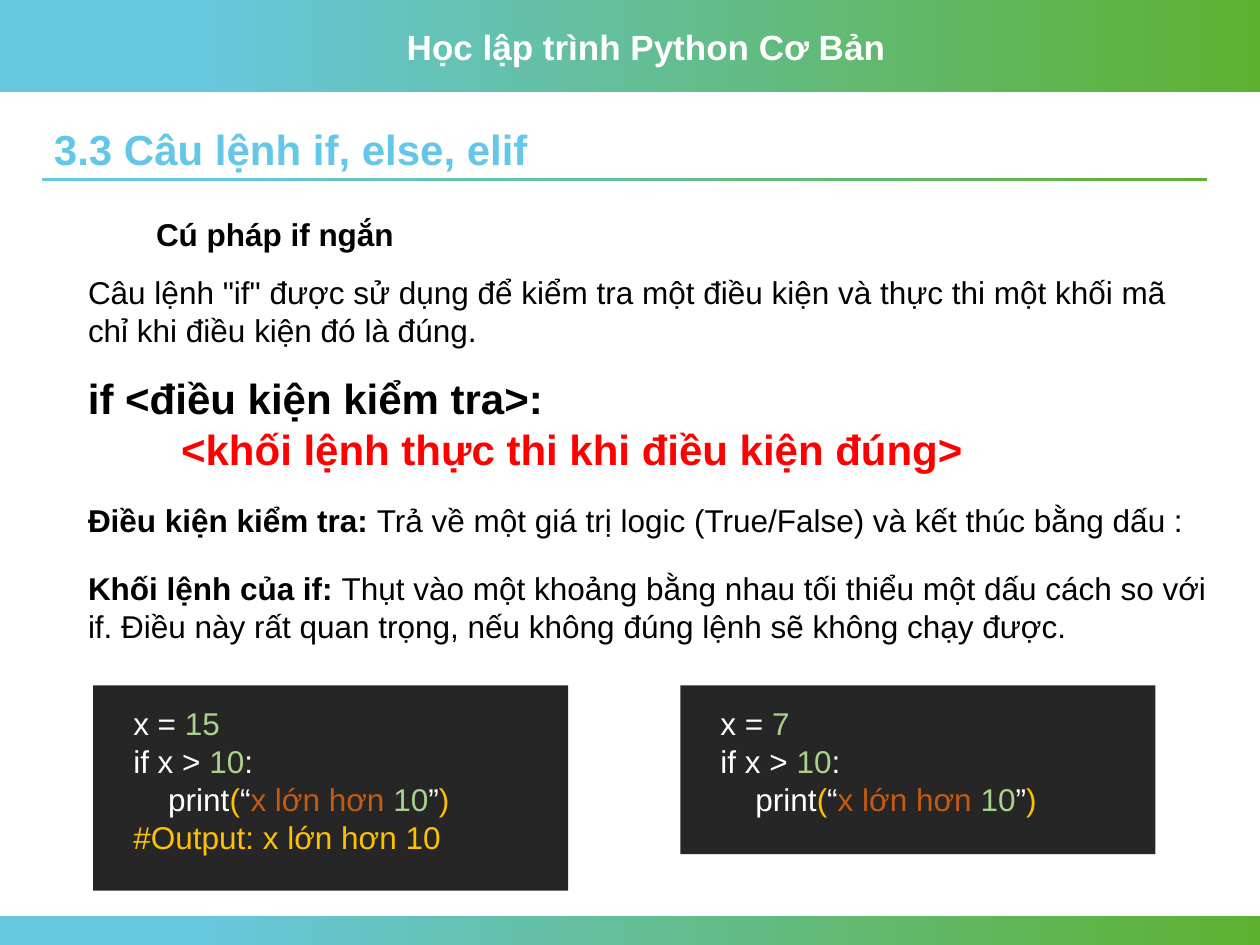
import pptx
import pptx.util
import pptx.dml.color
import pptx.enum.shapes

theme = {
    "font": "Arial", "body": 18, "head": 20, "large": 24,
    "blue": "67C7DF", "green": "5EB130", "title": "64C7E9",
    "white": "FFFFFF", "black": "000000", "red": "FF0000", "dark": "262626",
    "num": "A9D18E", "gold": "FFC000", "string": "C55A11",
}

deck = pptx.Presentation()
deck.slide_width = pptx.util.Inches(10)
deck.slide_height = pptx.util.Inches(7.5)
slide = deck.slides.add_slide(deck.slide_layouts[6])
col = deck.slide_width / 100
row = deck.slide_height / 75


def tint(name):
    return pptx.dml.color.RGBColor.from_string(theme[name])


def block(x, y, w, h):
    rect = slide.shapes.add_shape(
        pptx.enum.shapes.MSO_SHAPE.RECTANGLE,
        int(x * col), int(y * row), int(w * col), int(h * row))
    rect.shadow.inherit = False
    rect.line.fill.background()
    return rect


for x, y, w, h in [(0, 0, 100, 7.3), (0, 72.7, 100, 2.3), (3.3, 14.1, 92.5, 0.3)]:
    fill = block(x, y, w, h).fill
    fill.gradient()
    fill.gradient_angle = 0
    for stop, place, name in zip(fill.gradient_stops, (0.15, 1), ("blue", "green")):
        stop.position = place
        stop.color.rgb = tint(name)

texts = [
    (31.3, 1.5, 40, 4.4, "head", [[("Học lập trình Python Cơ Bản", "white", True)]]),
    (3.3, 9.3, 92.5, 4.6, "large", [[("3.3 Câu lệnh if, else, elif", "title", True)]]),
    (11.4, 16.6, 77.3, 4, "body", [[("Cú pháp if ngắn", "black", True)]]),
    (6, 21.2, 91.1, 7.1, "body", [[
        ('Câu lệnh "if" được sử dụng để kiểm tra một điều kiện và thực thi '
         "một khối mã chỉ khi điều kiện đó là đúng.", "black", False)]]),
    (6, 29.1, 85.6, 9.1, "large", [
        [("if <điều kiện kiểm tra>:", "black", True)],
        [("        <khối lệnh thực thi khi điều kiện đúng>", "red", True)]]),
    (6, 39.3, 91.1, 4, "body", [[
        ("Điều kiện kiểm tra: ", "black", True),
        ("Trả về một giá trị logic (True/False) và kết thúc bằng dấu :", "black", False)]]),
    (6, 44.7, 91.1, 7.1, "body", [[
        ("Khối lệnh của if: ", "black", True),
        ("Thụt vào một khoảng bằng nhau tối thiểu một dấu cách so với if. "
         "Điều này rất quan trọng, nếu không đúng lệnh sẽ không chạy được.", "black", False)]]),
]

test = [("if x > ", "white", False), ("10", "num", False), (":", "white", False)]
call = [("    print", "white", False), ("(", "gold", False), ("“", "white", False),
        ("x lớn hơn ", "string", False), ("10", "num", False),
        ("”", "white", False), (")", "gold", False)]
note = [("#Output: x lớn hơn 10", "gold", False)]

for x, h, value, tail in [(7.4, 16.3, "15", [note]), (54, 13.4, "7", [])]:
    panel = block(x, 54.4, 37.7, h)
    panel.fill.solid()
    panel.fill.fore_color.rgb = tint("dark")
    first = [("x = ", "white", False), (value, "num", False)]
    texts.append((x + 2.2, 55.4, 30, h - 3.2, "body", [first, test, call] + tail))

for x, y, w, h, size, lines in texts:
    box = slide.shapes.add_textbox(int(x * col), int(y * row), int(w * col), int(h * row))
    frame = box.text_frame
    frame.word_wrap = True
    for place, line in enumerate(lines):
        para = frame.add_paragraph() if place else frame.paragraphs[0]
        para.font.name = theme["font"]
        para.font.size = pptx.util.Pt(theme[size])
        hues = {hue for _, hue, _ in line}
        weights = {bold for _, _, bold in line}
        if len(hues) == 1:
            para.font.color.rgb = tint(line[0][1])
        if len(weights) == 1:
            para.font.bold = line[0][2]
        for words, hue, bold in line:
            run = para.add_run()
            run.text = words
            if len(hues) > 1:
                run.font.color.rgb = tint(hue)
            if len(weights) > 1:
                run.font.bold = bold

deck.save("out.pptx")
